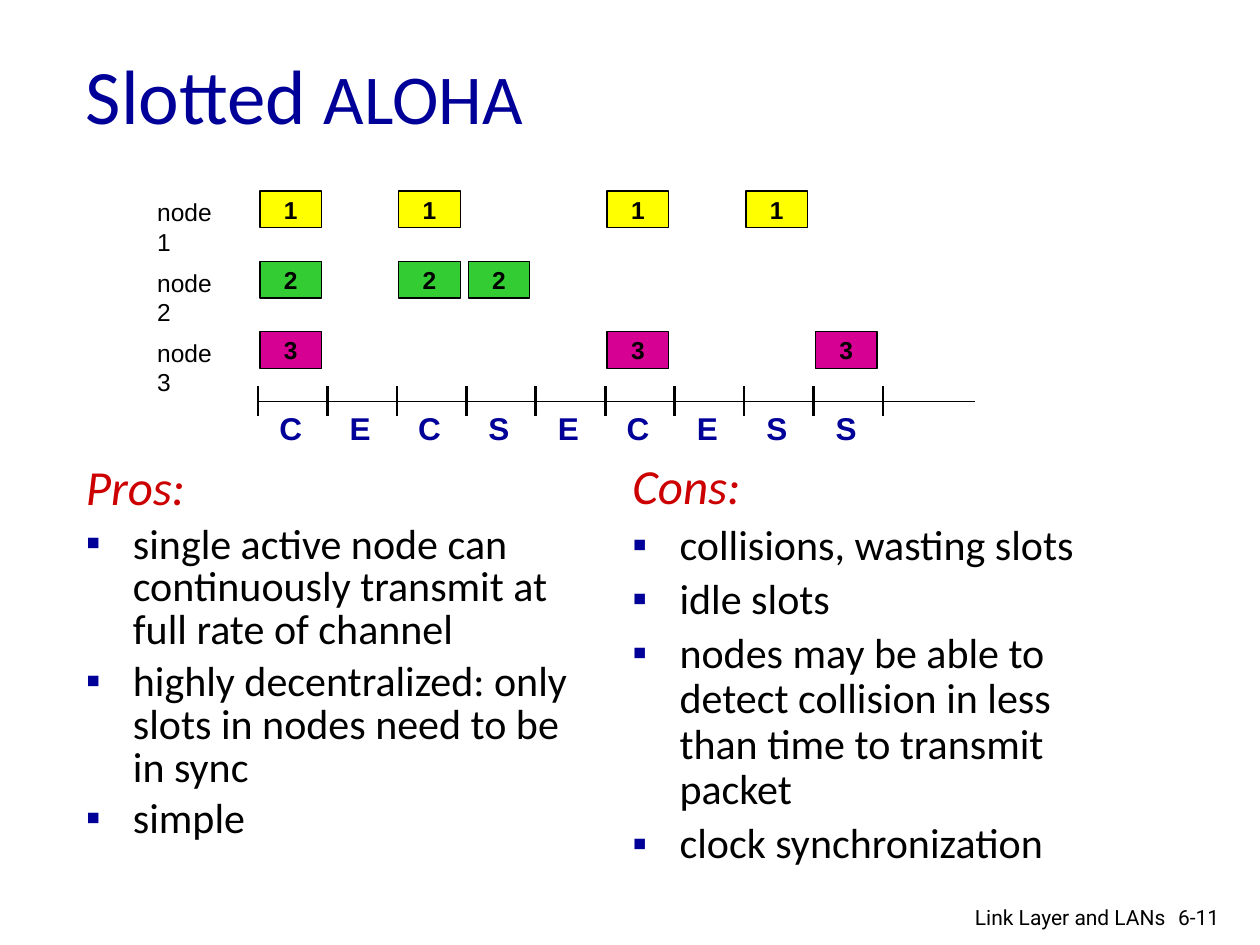
import lxml.etree
import pptx
import pptx.dml.color
import pptx.enum.shapes
import pptx.enum.text
import pptx.oxml.ns
import pptx.util

Cm = pptx.util.Cm
Pt = pptx.util.Pt
ALIGN = pptx.enum.text.PP_ALIGN
MIDDLE = pptx.enum.text.MSO_ANCHOR.MIDDLE
COLORS = {
    "navy": "000099",
    "red": "CC0000",
    "black": "000000",
    "yellow": "FFFF00",
    "green": "33CC33",
    "pink": "D60093",
}
START, PITCH = 5.2, 1.4
TOP, STEP = 3.85, 1.42
AXIS = 8.09
NODES = [
    ("yellow", [0, 2, 5, 7]),
    ("green", [0, 2, 3]),
    ("pink", [0, 5, 8]),
]
STATES = "CECSECESS"
PROS = [
    "single active node can continuously transmit at full rate of channel",
    "highly decentralized: only slots in nodes need to be in sync",
    "simple",
]
CONS = [
    "collisions, wasting slots",
    "idle slots",
    "nodes may be able to detect collision in less than time to transmit packet",
    "clock synchronization",
]


def color(name):
    return pptx.dml.color.RGBColor.from_string(COLORS[name])


def add_node(parent, tag, **attrs):
    return lxml.etree.SubElement(parent, pptx.oxml.ns.qn(tag), **attrs)


class Deck:
    def __init__(self):
        self.file = pptx.Presentation()
        self.file.slide_width = Cm(25.4)
        self.file.slide_height = Cm(19.05)
        self.slide = self.file.slides.add_slide(self.file.slide_layouts[6])
        self.shapes = self.slide.shapes

    def style(self, para, face, size, tone, bold=False, italic=False):
        font = para.font
        font.name, font.size = face, Pt(size)
        font.bold, font.italic = bold, italic
        font.color.rgb = color(tone)

    def text(self, words, x, y, w, h, face, size, tone="black", bold=False,
             align=ALIGN.LEFT, wrap=True):
        frame = self.shapes.add_textbox(Cm(x), Cm(y), Cm(w), Cm(h)).text_frame
        frame.word_wrap = wrap
        para = frame.paragraphs[0]
        para.text, para.alignment = words, align
        self.style(para, face, size, tone, bold)
        return frame

    def title(self, words, tail, x, y, w, h):
        frame = self.text(words, x, y, w, h, "Calibri", 44, "navy")
        frame.vertical_anchor = MIDDLE
        run = frame.paragraphs[0].add_run()
        run.text, run.font.size = tail, Pt(40)

    def bullets(self, head, items, x, y, space):
        frame = self.text(head, x, y, 10.6, 8.89, "Calibri", 28, "red")
        frame.paragraphs[0].font.italic = True
        for item in items:
            para = frame.add_paragraph()
            para.text = item
            self.style(para, "Calibri", 24, "black")
        for para in frame.paragraphs:
            para.line_spacing = space
            para.space_before = Pt(5)
        for para in frame.paragraphs[1:]:
            props = para._p.get_or_add_pPr()
            props.set("marL", str(Cm(0.95)))
            props.set("indent", str(Cm(-0.95)))
            last = props.find(pptx.oxml.ns.qn("a:defRPr"))
            tint = add_node(props, "a:buClr")
            add_node(tint, "a:srgbClr", val=COLORS["navy"])
            add_node(props, "a:buFont", typeface="Arial")
            add_node(props, "a:buChar", char="▪")
            props.append(last)

    def frame(self, words, x, y, tone):
        kind = pptx.enum.shapes.MSO_SHAPE.RECTANGLE
        box = self.shapes.add_shape(kind, Cm(x), Cm(y), Cm(1.24), Cm(0.74))
        box.shadow.inherit = False
        box.fill.solid()
        box.fill.fore_color.rgb = color(tone)
        box.line.color.rgb = color("black")
        box.line.width = Pt(0.75)
        body = box.text_frame
        body.margin_top = body.margin_bottom = 0
        body.vertical_anchor = MIDDLE
        para = body.paragraphs[0]
        para.text, para.alignment = words, ALIGN.CENTER
        self.style(para, "Arial", 14, "black", bold=True)

    def line(self, x1, y1, x2, y2, width):
        kind = pptx.enum.shapes.MSO_CONNECTOR.STRAIGHT
        line = self.shapes.add_connector(kind, Cm(x1), Cm(y1), Cm(x2), Cm(y2))
        line.line.color.rgb = color("black")
        line.line.width = Pt(width)
        add_node(line._element.spPr, "a:effectLst")


def main():
    deck = Deck()
    deck.bullets("Pros:", PROS, 1.48, 9.27, 0.85)
    deck.bullets("Cons:", CONS, 12.5, 9.2, 0.9)
    deck.title("Slotted ", "ALOHA", 1.48, 0.3, 13.76, 3.18)

    for row, (tone, slots) in enumerate(NODES):
        y = TOP + row * STEP
        deck.text(f"node {row + 1}", 2.92, y, 2, 0.84, "Arial", 14, wrap=False)
        for slot in slots:
            deck.frame(str(row + 1), START + 0.04 + slot * PITCH, y, tone)

    deck.line(START, AXIS, 19.66, AXIS, 0.75)
    for tick in range(len(STATES) + 1):
        x = START + tick * PITCH
        deck.line(x, AXIS - 0.3, x, AXIS + 0.3, 1.5)
    for slot, state in enumerate(STATES):
        deck.text(state, START + 0.18 + slot * PITCH, 8.12, 0.96, 1.02,
                  "Arial", 18, "navy", bold=True, align=ALIGN.CENTER, wrap=False)

    deck.text("6-11", 23.5, 18.11, 1.52, 0.76, "Roboto", 12)
    deck.text("Link Layer and LANs", 17.7, 18.11, 6.05, 0.66, "Roboto", 12,
              align=ALIGN.RIGHT)
    deck.file.save("out.pptx")


if __name__ == "__main__":
    main()
